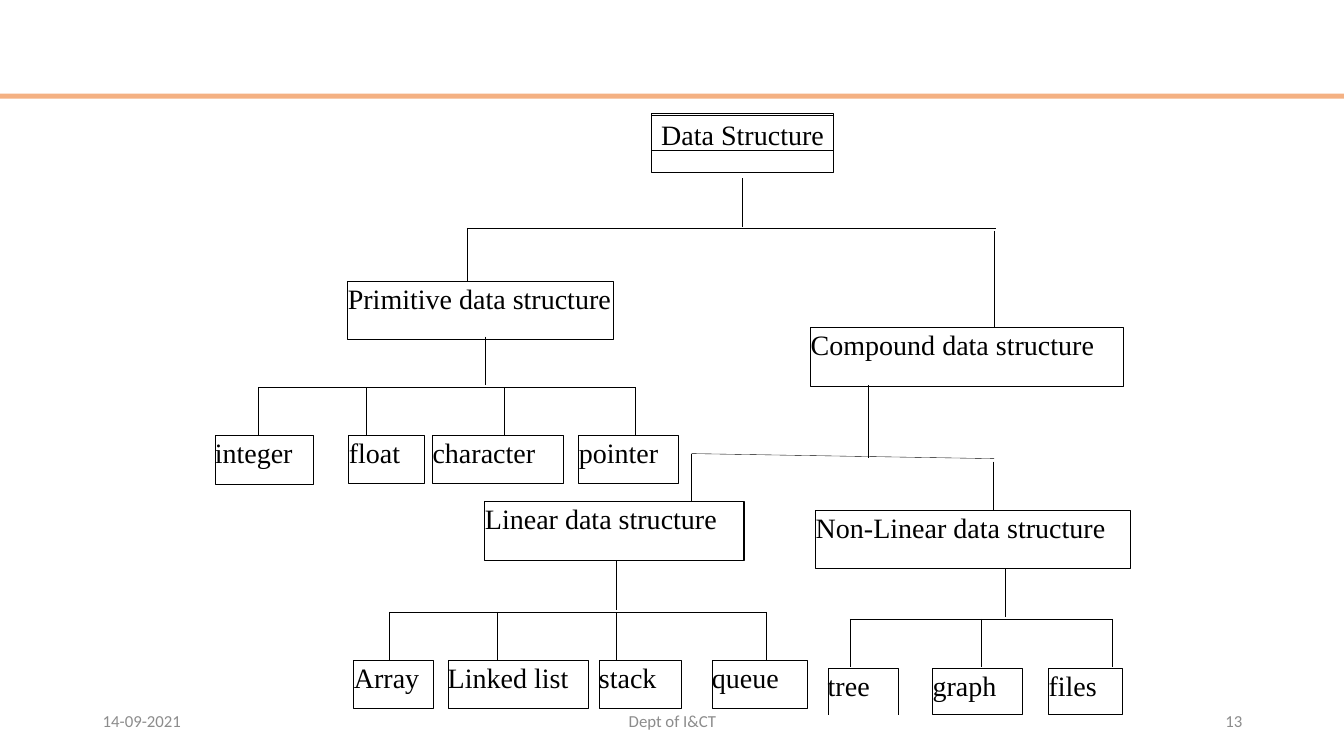
"""Build a slide showing the data structure classification tree."""
from dataclasses import dataclass

from lxml.etree import SubElement
from pptx import Presentation
from pptx.dml.color import RGBColor
from pptx.enum.shapes import MSO_CONNECTOR as Connector, MSO_SHAPE as Shape
from pptx.enum.text import MSO_ANCHOR as Anchor, PP_ALIGN as Align
from pptx.oxml.ns import qn
from pptx.util import Inches, Pt


@dataclass(frozen=True)
class Theme:
    ink: RGBColor = RGBColor(0, 0, 0)
    paper: RGBColor = RGBColor(255, 255, 255)
    accent: RGBColor = RGBColor(0xF4, 0xB1, 0x83)
    muted: RGBColor = RGBColor(0x8C, 0x8C, 0x8C)
    node_font: str = "Times New Roman"
    footer_font: str = "Calibri"
    node_size: int = 20
    footer_size: int = 12
    thick: float = 0.75
    thin: float = 0.25


THEME = Theme()

GROUP_HEIGHT, VALUE_HEIGHT, FILE_HEIGHT = 0.58, 0.48, 0.46
NODE_ROWS = [
    (2.79, GROUP_HEIGHT, [("Primitive data structure", 3.45, 2.64, THEME.thick)]),
    (3.25, GROUP_HEIGHT, [("Compound data structure", 8.04, 3.1, THEME.thick)]),
    (4.98, GROUP_HEIGHT, [("Linear data structure", 4.81, 2.57, THEME.thick)]),
    (5.06, GROUP_HEIGHT, [("Non-Linear data structure", 8.09, 3.12, THEME.thick)]),
    (4.32, VALUE_HEIGHT, [
        ("integer", 2.13, 0.98, THEME.thin),
        ("float", 3.46, 0.75, THEME.thick),
        ("character", 4.29, 1.3, THEME.thick),
        ("pointer", 5.74, 0.99, THEME.thick),
    ]),
    (6.55, VALUE_HEIGHT, [
        ("Array", 3.51, 0.79, THEME.thick),
        ("Linked list", 4.44, 1.39, THEME.thin),
        ("stack", 5.94, 0.82, THEME.thin),
        ("queue", 7.06, 0.95, THEME.thin),
    ]),
    (6.63, FILE_HEIGHT, [
        ("graph", 9.25, 0.89, THEME.thick),
        ("files", 10.4, 0.73, THEME.thick),
    ]),
]
OPEN_NODE = ("tree", 8.21, 6.63, 0.7, FILE_HEIGHT)

GROUP_LINES = [
    (7.36, 1.77, 7.36, 2.25),
    (4.63, 2.26, 9.88, 2.26),
    (4.63, 2.26, 4.63, 2.79),
    (9.86, 2.29, 9.86, 3.25),
    (8.61, 3.82, 8.61, 4.54),
    (6.86, 4.5, 9.86, 4.55),
    (6.86, 4.5, 6.86, 4.98),
    (9.85, 4.58, 9.85, 5.06),
]
LEAF_BRANCHES = [
    (4.81, 3.84, (2.56, 3.63, 5.0, 6.3)),
    (6.11, 6.07, (3.86, 4.93, 6.11, 7.6)),
    (9.97, 6.14, (8.43, 9.73, 11.03)),
]
DROP_LENGTH, STEM_GAP = 0.48, 0.02

FOOTERS = [
    ("14-09-2021", 0.92, 3, Align.LEFT),
    ("Dept of I&CT", 4.42, 4.5, Align.CENTER),
    ("13", 9.42, 3, Align.RIGHT),
]


def add_run(paragraph, text, font_name, size, color):
    run = paragraph.add_run()
    run.text = text
    run.font.name = font_name
    run.font.size = Pt(size)
    run.font.color.rgb = color


def write_label(shape, text, left_inset=0, top_inset=0):
    frame = shape.text_frame
    frame.word_wrap = True
    frame.vertical_anchor = Anchor.TOP
    frame.margin_left, frame.margin_top = Inches(left_inset), Inches(top_inset)
    frame.margin_right = frame.margin_bottom = 0
    paragraph = frame.paragraphs[0]
    paragraph.alignment = Align.LEFT
    add_run(paragraph, text, THEME.node_font, THEME.node_size, THEME.ink)


def outline(shape, width):
    shape.shadow.inherit = False
    shape.line.color.rgb = THEME.ink
    shape.line.width = Pt(width)


def add_box(slide, left, top, width, height, line_width, filled=True):
    box = slide.shapes.add_shape(
        Shape.RECTANGLE, Inches(left), Inches(top), Inches(width), Inches(height))
    outline(box, line_width)
    if filled:
        box.fill.solid()
        box.fill.fore_color.rgb = THEME.paper
    else:
        box.fill.background()
    return box


def add_open_box(slide, left, top, width, height):
    right, bottom = left + width, top + height
    corners = [(left, top), (right, top), (right, bottom)]
    builder = slide.shapes.build_freeform(Inches(left), Inches(bottom))
    builder.add_line_segments(
        [(Inches(x), Inches(y)) for x, y in corners], close=False)
    box = builder.convert_to_shape()
    outline(box, THEME.thin)
    box.fill.background()
    return box


def add_line(slide, *ends):
    line = slide.shapes.add_connector(
        Connector.STRAIGHT, *[Inches(value) for value in ends])
    line.line.color.rgb = THEME.ink
    line.line.width = Pt(THEME.thin)
    SubElement(line._element.spPr, qn("a:effectLst"))


def leaf_lines(stem, bar, drops):
    stem_top = bar - STEM_GAP - DROP_LENGTH
    return [
        (stem, stem_top, stem, stem_top + DROP_LENGTH),
        (drops[0], bar, drops[-1], bar),
        *[(x, bar, x, bar + DROP_LENGTH) for x in drops],
    ]


def add_footer(slide, text, left, width, alignment):
    box = slide.shapes.add_textbox(
        Inches(left), Inches(6.95), Inches(width), Inches(0.4))
    box.text_frame.word_wrap = True
    box.text_frame.vertical_anchor = Anchor.MIDDLE
    paragraph = box.text_frame.paragraphs[0]
    paragraph.alignment = alignment
    add_run(paragraph, text, THEME.footer_font, THEME.footer_size, THEME.muted)


def main():
    presentation = Presentation()
    presentation.slide_width = Inches(13.33)
    presentation.slide_height = Inches(7.5)
    slide = presentation.slides.add_slide(presentation.slide_layouts[6])

    band = slide.shapes.add_shape(
        Shape.RECTANGLE, 0, Inches(0.93), presentation.slide_width, Inches(0.05))
    band.shadow.inherit = False
    band.fill.solid()
    band.fill.fore_color.rgb = THEME.accent
    band.line.fill.background()

    add_box(slide, 6.46, 1.13, 1.81, GROUP_HEIGHT, THEME.thick)
    root = add_box(slide, 6.46, 1.15, 1.81, 0.34, THEME.thick, filled=False)
    write_label(root, "Data Structure", left_inset=0.1, top_inset=0.02)

    for top, height, nodes in NODE_ROWS:
        for text, left, width, line_width in nodes:
            filled = line_width == THEME.thick
            box = add_box(slide, left, top, width, height, line_width, filled)
            write_label(box, text)
    open_text, *open_place = OPEN_NODE
    write_label(add_open_box(slide, *open_place), open_text)

    for ends in GROUP_LINES:
        add_line(slide, *ends)
    for branch in LEAF_BRANCHES:
        for ends in leaf_lines(*branch):
            add_line(slide, *ends)
    for footer in FOOTERS:
        add_footer(slide, *footer)

    presentation.save("out.pptx")


if __name__ == "__main__":
    main()
